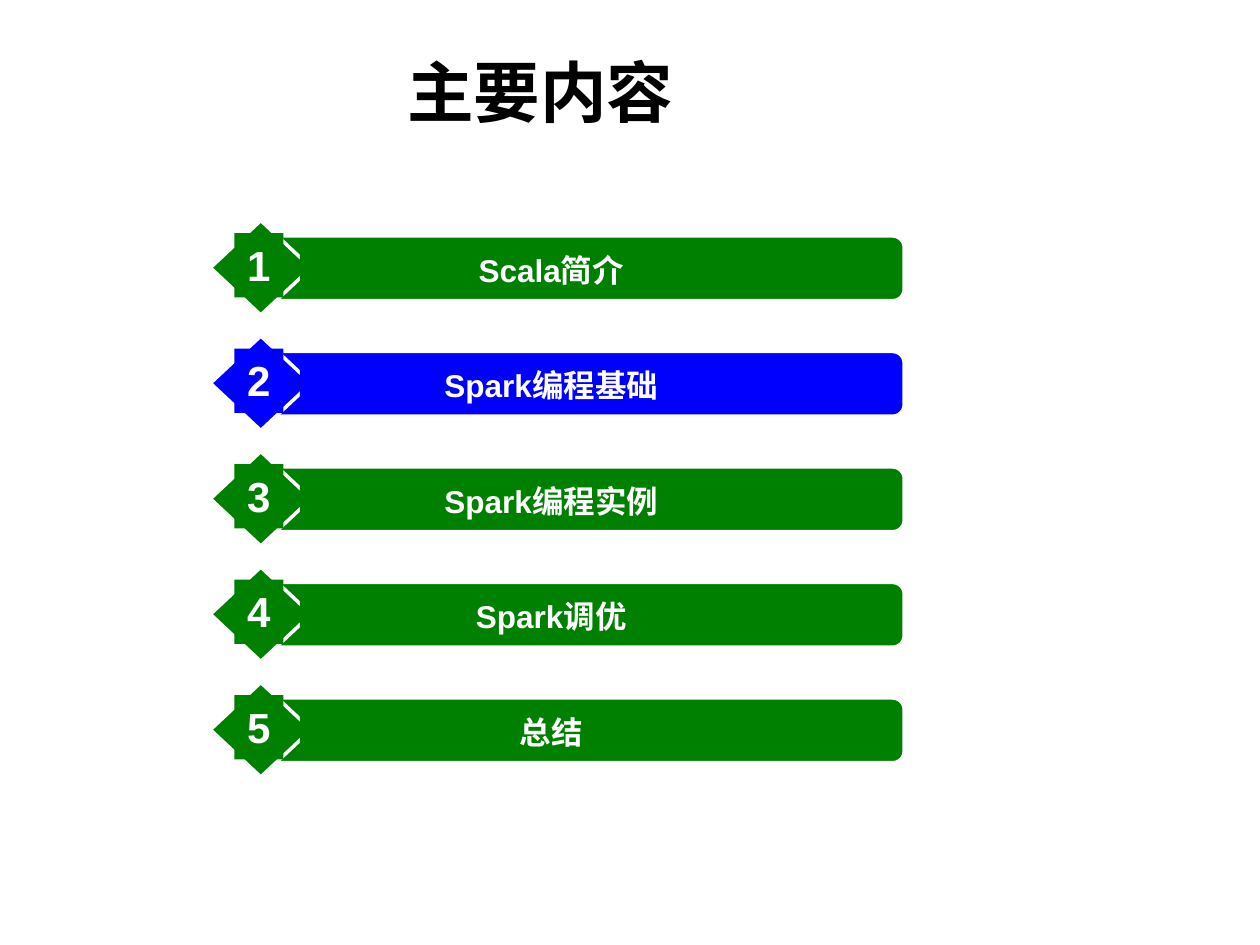
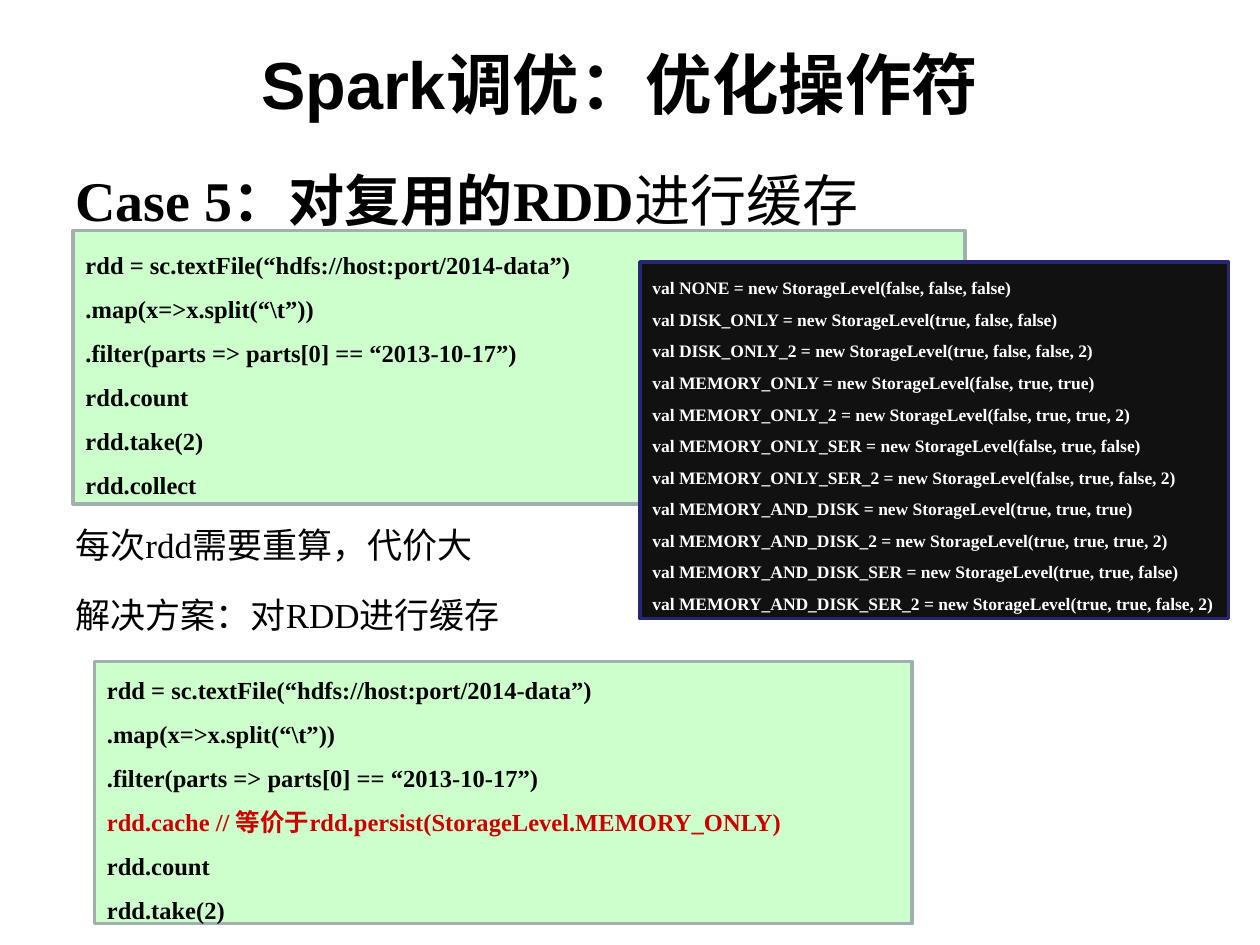
from dataclasses import dataclass

from lxml import etree
from pptx import Presentation
from pptx.dml.color import RGBColor
from pptx.enum.shapes import MSO_SHAPE
from pptx.enum.text import MSO_ANCHOR, MSO_AUTO_SIZE, PP_ALIGN
from pptx.oxml.ns import qn
from pptx.util import Inches, Pt

RECTANGLE, ROUNDED, DIAMOND = MSO_SHAPE.RECTANGLE, MSO_SHAPE.ROUNDED_RECTANGLE, MSO_SHAPE.DIAMOND
TOP, MIDDLE = MSO_ANCHOR.TOP, MSO_ANCHOR.MIDDLE
LEFT, CENTER = PP_ALIGN.LEFT, PP_ALIGN.CENTER
TITLE_ONLY = 5


@dataclass(frozen=True)
class Theme:
    sans: str = "Arial"
    serif: str = "Times New Roman"
    chinese: str = "Noto Sans CJK SC"
    black: str = "000000"
    white: str = "FFFFFF"
    green: str = "008000"
    blue: str = "0000FF"
    red: str = "CC0000"
    code_fill: str = "CCFFCC"
    code_line: str = "A1AFB1"
    levels_fill: str = "111111"
    levels_line: str = "262671"
    title_size: int = 38
    case_size: int = 32
    number_size: int = 24
    note_size: int = 20
    topic_size: int = 18
    code_size: int = 14
    levels_size: int = 10
    code_spacing: float = 1.5


THEME = Theme()

AGENDA_TITLE = "主要内容"
TOPICS = ["Scala简介", "Spark编程基础", "Spark编程实例", "Spark调优", "总结"]
CURRENT_TOPIC = 2
FIRST_ROW_TOP = 1.75
ROW_PITCH = 11 / 12

TUNING_TITLE = "Spark调优：优化操作符"
CASE_NAME, CASE_ACTION = "Case 5：对复用的RDD", "进行缓存"
NOTES = ["每次rdd需要重算，代价大", "解决方案：对RDD进行缓存"]
LOAD_STEPS = [
    "rdd = sc.textFile(“hdfs://host:port/2014-data”)",
    ".map(x=>x.split(“\\t”))",
    ".filter(parts => parts[0] == “2013-10-17”)",
]
CACHE_STEP = "rdd.cache // 等价于rdd.persist(StorageLevel.MEMORY_ONLY)"
UNCACHED_CODE = LOAD_STEPS + ["rdd.count", "rdd.take(2)", "rdd.collect"]
CACHED_CODE = LOAD_STEPS + [CACHE_STEP, "rdd.count", "rdd.take(2)"]
STORAGE_LEVELS = [
    ("NONE", "false, false, false"),
    ("DISK_ONLY", "true, false, false"),
    ("DISK_ONLY_2", "true, false, false, 2"),
    ("MEMORY_ONLY", "false, true, true"),
    ("MEMORY_ONLY_2", "false, true, true, 2"),
    ("MEMORY_ONLY_SER", "false, true, false"),
    ("MEMORY_ONLY_SER_2", "false, true, false, 2"),
    ("MEMORY_AND_DISK", "true, true, true"),
    ("MEMORY_AND_DISK_2", "true, true, true, 2"),
    ("MEMORY_AND_DISK_SER", "true, true, false"),
    ("MEMORY_AND_DISK_SER_2", "true, true, false, 2"),
]


def style_para(para, size, color, face, bold=True, align=LEFT, spacing=1.0):
    para.alignment = align
    para.line_spacing = spacing
    font = para.font
    font.size, font.bold, font.name = Pt(size), bold, face
    font.color.rgb = RGBColor.from_string(color)
    latin = font._element.find(qn("a:latin"))
    east_asian = etree.Element(qn("a:ea"), typeface=THEME.chinese)
    latin.addnext(east_asian)


def write_lines(frame, lines, size, color, face, anchor=TOP, marked=None, gap=0, **style):
    """Fill a frame with one paragraph per line; the marked line turns red."""
    frame.vertical_anchor = anchor
    frame.auto_size = MSO_AUTO_SIZE.NONE
    for index, line in enumerate(lines):
        para = frame.add_paragraph() if index else frame.paragraphs[0]
        para.text = line
        if index and gap:
            para.space_before = Pt(gap)
        style_para(para, size, THEME.red if line == marked else color, face, **style)


def add_page(deck, title, at, face):
    page = deck.slides.add_slide(deck.slide_layouts[TITLE_ONLY])
    box = page.shapes.title
    box.left, box.top, box.width, box.height = map(Inches, at)
    write_lines(box.text_frame, [title], THEME.title_size, THEME.black, face,
                anchor=MIDDLE, align=CENTER)
    return page


def add_block(shapes, kind, at, fill, line=None, line_width=1):
    block = shapes.add_shape(kind, *map(Inches, at))
    block.shadow.inherit = False
    block.fill.solid()
    block.fill.fore_color.rgb = RGBColor.from_string(fill)
    if line:
        block.line.color.rgb = RGBColor.from_string(line)
        block.line.width = Pt(line_width)
    else:
        block.line.fill.background()
    return block


def add_textbox(page, at):
    frame = page.shapes.add_textbox(*map(Inches, at)).text_frame
    frame.word_wrap = True
    return frame


def add_topic(page, number, topic):
    color = THEME.blue if number == CURRENT_TOPIC else THEME.green
    top = FIRST_ROW_TOP + (number - 1) * ROW_PITCH
    shapes = page.shapes.add_group_shape().shapes
    bar = add_block(shapes, ROUNDED, (2.11, top + 0.13, 5.06, 0.5), color, THEME.white)
    bar.adjustments[0] = 0.17
    add_block(shapes, DIAMOND, (1.67, top, 0.8, 0.75), color, THEME.white, 2)
    label = add_block(shapes, RECTANGLE, (2.38, top + 0.19, 3.99, 0.4), color)
    write_lines(label.text_frame, [topic], THEME.topic_size, THEME.white, THEME.sans,
                align=CENTER)
    badge = add_block(shapes, RECTANGLE, (1.86, top + 0.1, 0.39, 0.51), color)
    badge.text_frame.word_wrap = False
    write_lines(badge.text_frame, [str(number)], THEME.number_size, THEME.white, THEME.sans,
                align=CENTER)


def add_code(page, at, lines, size=THEME.code_size, color=THEME.black,
             fill=THEME.code_fill, line=THEME.code_line):
    panel = add_block(page.shapes, RECTANGLE, at, fill, line, 2)
    write_lines(panel.text_frame, lines, size, color, THEME.serif, anchor=MIDDLE,
                marked=CACHE_STEP, spacing=THEME.code_spacing)


def build_agenda(deck):
    page = add_page(deck, AGENDA_TITLE, (0.33, 0.33, 7.92, 0.79), THEME.chinese)
    for number, topic in enumerate(TOPICS, 1):
        add_topic(page, number, topic)


def build_tuning(deck):
    page = add_page(deck, TUNING_TITLE, (0.42, 0.03, 9, 1.25), THEME.sans)

    heading = add_textbox(page, (0.5, 1, 9, 0.9))
    write_lines(heading, [CASE_NAME], THEME.case_size, THEME.black, THEME.serif,
                spacing=THEME.code_spacing)
    span = heading.paragraphs[0].add_run()
    span.text = CASE_ACTION
    span.font.bold = False

    notes = add_textbox(page, (0.5, 3.94, 4.5, 1.2))
    write_lines(notes, NOTES, THEME.note_size, THEME.black, THEME.serif, bold=False,
                spacing=THEME.code_spacing, gap=4)

    add_code(page, (0.58, 1.83, 7.08, 2.17), UNCACHED_CODE)
    add_code(page, (0.75, 5.25, 6.49, 2.08), CACHED_CODE)
    levels = [f"val {name} = new StorageLevel({flags})" for name, flags in STORAGE_LEVELS]
    add_code(page, (5.08, 2.08, 4.67, 2.83), levels, THEME.levels_size, THEME.white,
             THEME.levels_fill, THEME.levels_line)


def main():
    deck = Presentation()
    deck.slide_width, deck.slide_height = Inches(10), Inches(7.5)
    build_agenda(deck)
    build_tuning(deck)
    deck.save("out.pptx")


if __name__ == "__main__":
    main()
